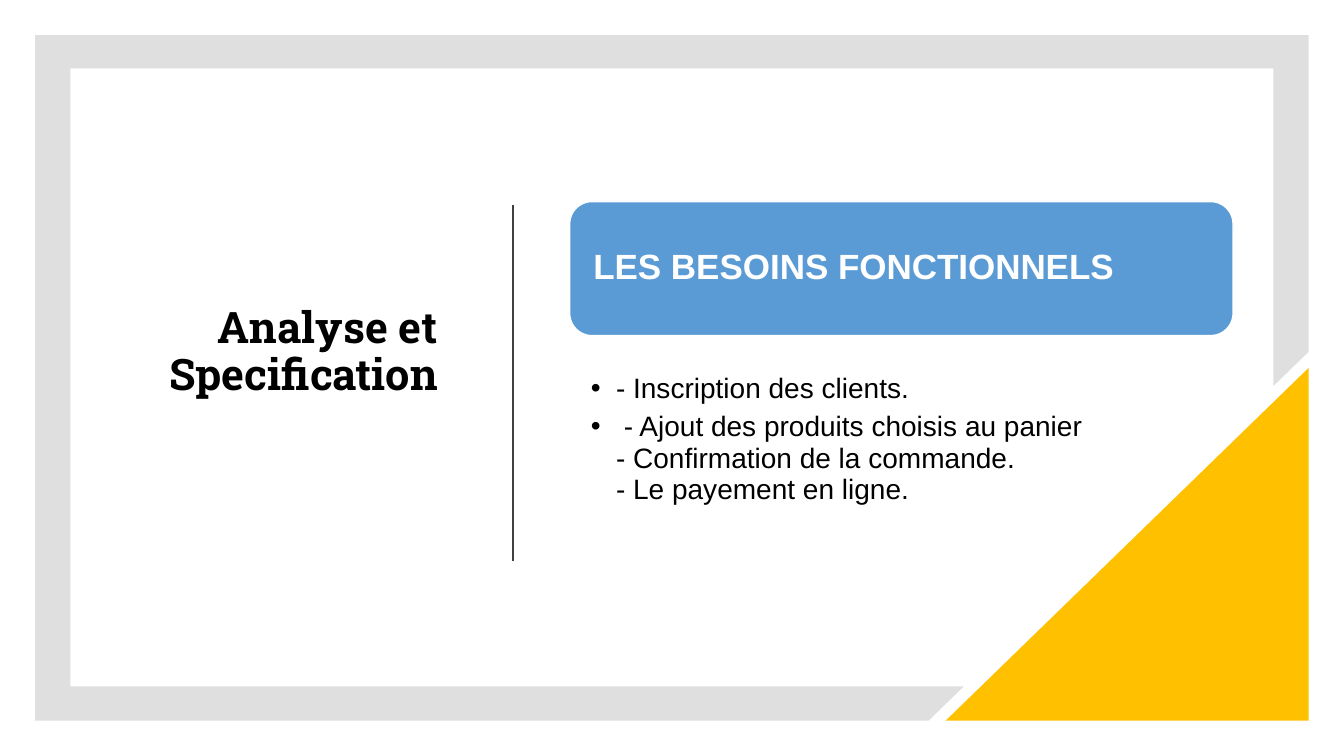
from lxml.etree import SubElement
from pptx import Presentation
from pptx.dml.color import RGBColor
from pptx.enum.shapes import MSO_CONNECTOR, MSO_SHAPE
from pptx.enum.text import MSO_ANCHOR, MSO_AUTO_SIZE, PP_ALIGN
from pptx.oxml.ns import qn
from pptx.util import Inches, Pt


def color(value):
    return RGBColor.from_string(value)


def format_text(shape, font, size, tint, bold, spacing, align, anchor, margins):
    frame = shape.text_frame
    frame.word_wrap = True
    frame.auto_size = MSO_AUTO_SIZE.NONE
    frame.vertical_anchor = anchor
    frame.margin_left, frame.margin_top, frame.margin_right, frame.margin_bottom = map(Inches, margins)
    for para in frame.paragraphs:
        para.alignment = align
        para.line_spacing = spacing
        para.space_before = Pt(0)
        for span in para.runs:
            span.font.name = font
            span.font.size = Pt(size)
            span.font.bold = bold
            span.font.color.rgb = color(tint)


deck = Presentation()
deck.slide_width, deck.slide_height = Inches(13.33), Inches(7.5)
page = deck.slides.add_slide(deck.slide_layouts[1])
title, needs = page.placeholders

# Grey frame, cut off along the corner triangle
outline = [(0.35, 0.35), (12.98, 0.35), (12.98, 3.49), (12.63, 3.83), (12.63, 0.68),
           (0.7, 0.68), (0.7, 6.81), (9.56, 6.81), (9.21, 7.15), (0.35, 7.15)]
points = [(Inches(x), Inches(y)) for x, y in outline]
builder = page.shapes.build_freeform(*points[0])
builder.add_line_segments(points[1:], close=True)
border = builder.convert_to_shape()
border.shadow.inherit = False
border.fill.solid()
border.fill.fore_color.rgb = color("808080")
border.line.fill.background()
tone = border.fill._xPr.find(qn("a:solidFill"))[0]
SubElement(tone, qn("a:alpha")).set("val", "25000")

# Yellow corner
corner = page.shapes.add_shape(MSO_SHAPE.RIGHT_TRIANGLE, Inches(9.38), Inches(3.65), Inches(3.6), Inches(3.5))
corner._element.spPr.find(qn("a:xfrm")).set("flipH", "1")
corner.shadow.inherit = False
corner.fill.solid()
corner.fill.fore_color.rgb = color("FFC000")
corner.line.fill.background()

# Title
title.left, title.top, title.width, title.height = map(Inches, (1.1, 1.3, 3.34, 4.9))
title.text_frame.text = "Analyse et Specification"
format_text(title, "Roboto Slab", 31, "000000", True, 0.9, PP_ALIGN.RIGHT, MSO_ANCHOR.MIDDLE,
            (0.1, 0.05, 0.1, 0.55))

# Divider
divider = page.shapes.add_connector(MSO_CONNECTOR.STRAIGHT, Inches(5.09), Inches(2.03), Inches(5.09), Inches(5.57))
divider.line.color.rgb = color("404040")
divider.line.width = Pt(1.5)
SubElement(divider._element.spPr, qn("a:effectLst"))

# Heading card
heading = page.shapes.add_shape(MSO_SHAPE.ROUNDED_RECTANGLE, Inches(5.65), Inches(2), Inches(6.58), Inches(1.33))
heading.shadow.inherit = False
heading.fill.solid()
heading.fill.fore_color.rgb = color("5B9BD5")
heading.line.color.rgb = color("FFFFFF")
heading.line.width = Pt(1)
heading.text_frame.text = "LES BESOINS FONCTIONNELS"
format_text(heading, "Arial", 25, "FFFFFF", True, 0.9, PP_ALIGN.LEFT, MSO_ANCHOR.MIDDLE,
            (0.17, 0.17, 0.17, 0.17))

# List of needs
needs.left, needs.top, needs.width, needs.height = map(Inches, (5.65, 3.29, 6.58, 2.24))
needs.text_frame.text = ("- Inscription des clients.\n"
                         " - Ajout des produits choisis au panier\v"
                         "- Confirmation de la commande.\v"
                         "- Le payement en ligne.")
format_text(needs, "Arial", 20, "000000", False, 0.95, PP_ALIGN.LEFT, MSO_ANCHOR.TOP,
            (0.21, 0.41, 0.16, 0.03))
for para in needs.text_frame.paragraphs:
    para.space_after = Pt(4)
    properties = para._p.get_or_add_pPr()
    properties.set("marL", str(Inches(0.25)))
    properties.set("indent", str(-Inches(0.25)))
    SubElement(properties, qn("a:buFont")).set("typeface", "Arial")
    SubElement(properties, qn("a:buChar")).set("char", "•")

deck.save("out.pptx")
